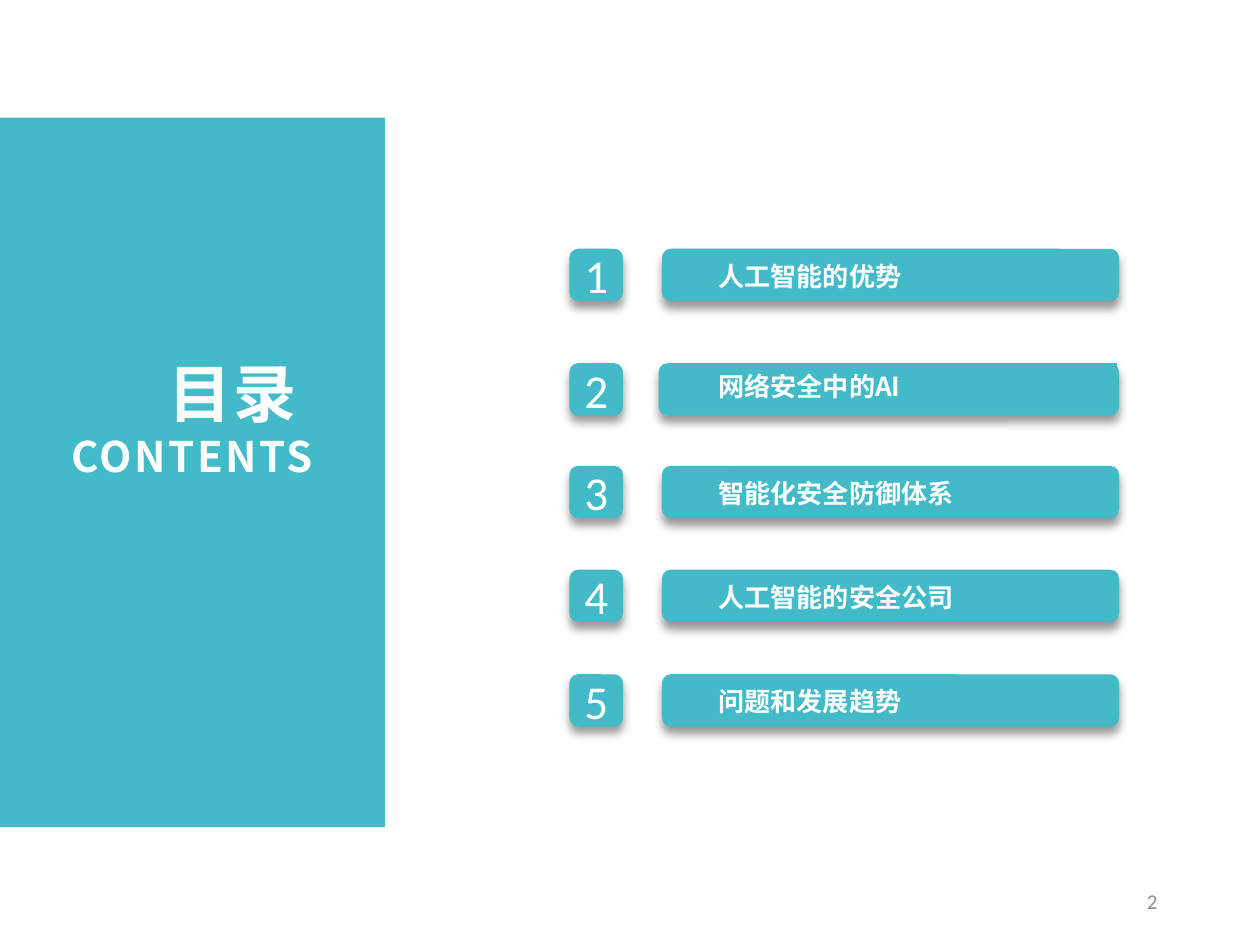
"""Build a contents slide with a title panel and five numbered topics."""
from dataclasses import dataclass

from lxml import etree
from pptx import Presentation
from pptx import util as u
from pptx.dml.color import RGBColor
from pptx.enum import shapes, text
from pptx.oxml.ns import qn

TEAL, WHITE, GREY = "42BAC8", "FFFFFF", "8C8C8C"
LATIN, CJK = "Calibri", "Noto Sans CJK SC"
BADGE_LEFT, BADGE_WIDTH, ROW_HEIGHT = 8.61, 0.81, 0.79
BAR_RIGHT, LABEL_LEFT, LABEL_HEIGHT = 16.92, 10.69, 0.66


@dataclass
class Topic:
    name: str
    top: float
    bar_left: float = 10.01
    label_drop: float = 0.07
    label_width: float = 5.05


TOPICS = [
    Topic("人工智能的优势", 3.76),
    Topic("网络安全中的AI", 5.49, 9.96, 0, 6.2),
    Topic("智能化安全防御体系", 7.04),
    Topic("人工智能的安全公司", 8.61),
    Topic("问题和发展趋势", 10.19),
]


def color(value: str) -> RGBColor:
    return RGBColor.from_string(value)


def place(part, left: float, top: float, width: float, height: float) -> None:
    part.left, part.top = u.Cm(left), u.Cm(top)
    part.width, part.height = u.Cm(width), u.Cm(height)


def add_block(parent, kind, left: float, top: float, width: float, height: float):
    block = parent.add_shape(kind, *map(u.Cm, (left, top, width, height)))
    block.shadow.inherit = False
    block.fill.solid()
    block.fill.fore_color.rgb = color(TEAL)
    block.line.fill.background()
    return block


def add_raised(parent, left: float, top: float, width: float):
    raised = add_block(parent, shapes.MSO_SHAPE.ROUNDED_RECTANGLE,
                       left, top, width, ROW_HEIGHT)
    effects = raised._element.spPr.find(qn("a:effectLst"))
    shadow = etree.SubElement(effects, qn("a:outerShdw"), blurRad=str(u.Pt(4)),
                              dist=str(u.Pt(3)), dir="5400000", rotWithShape="0")
    black = etree.SubElement(shadow, qn("a:srgbClr"), val="000000")
    etree.SubElement(black, qn("a:alpha"), val="40000")
    return raised


def set_frame(frame, anchor, side: float = 0.18, edge: float = 0.1) -> None:
    frame.word_wrap = True
    frame.auto_size = text.MSO_AUTO_SIZE.NONE
    frame.vertical_anchor = anchor
    frame.margin_left = frame.margin_right = u.Cm(side)
    frame.margin_top = frame.margin_bottom = u.Cm(edge)


def write(paragraph, words: str, size: float, face: str, align,
          bold: bool = False, ink: str = WHITE, spacing: int = 0) -> None:
    paragraph.text = words
    paragraph.alignment = align
    font = paragraph.font
    font.size, font.name, font.bold = u.Pt(size), face, bold
    font.color.rgb = color(ink)
    properties = paragraph._p.pPr.find(qn("a:defRPr"))
    etree.SubElement(properties, qn("a:ea"), typeface=face)
    if spacing:
        properties.set("spc", str(spacing))


def add_topic(slide, number: int, topic: Topic) -> None:
    badge = add_raised(slide.shapes, BADGE_LEFT, topic.top, BADGE_WIDTH)
    set_frame(badge.text_frame, text.MSO_ANCHOR.MIDDLE)
    write(badge.text_frame.paragraphs[0], str(number), 20.2, LATIN,
          text.PP_ALIGN.CENTER)

    entry = slide.shapes.add_group_shape().shapes
    add_raised(entry, topic.bar_left, topic.top, BAR_RIGHT - topic.bar_left)
    label = add_block(entry, shapes.MSO_SHAPE.RECTANGLE, LABEL_LEFT,
                      topic.top + topic.label_drop, topic.label_width, LABEL_HEIGHT)
    set_frame(label.text_frame, text.MSO_ANCHOR.TOP)
    write(label.text_frame.paragraphs[0], topic.name, 11.2, CJK,
          text.PP_ALIGN.LEFT, bold=True)


def add_heading(slide) -> None:
    panel = add_block(slide.shapes, shapes.MSO_SHAPE.RECTANGLE, 0, 1.78, 5.82, 10.72)
    heading = slide.shapes.title
    heading._element.addprevious(panel._element)
    place(heading, 0.53, 5.26, 4.39, 2.11)
    frame = heading.text_frame
    set_frame(frame, text.MSO_ANCHOR.TOP)
    write(frame.paragraphs[0], "目录 ", 27, CJK, text.PP_ALIGN.RIGHT,
          bold=True, spacing=110)
    write(frame.add_paragraph(), "CONTENTS", 18, CJK, text.PP_ALIGN.RIGHT,
          bold=True, spacing=110)


def add_page_number(slide) -> None:
    page = slide.shapes.add_textbox(*map(u.Cm, (13.46, 13.23, 4.29, 0.76)))
    set_frame(page.text_frame, text.MSO_ANCHOR.MIDDLE, 0.25, 0.13)
    write(page.text_frame.paragraphs[0], "2", 9, LATIN, text.PP_ALIGN.RIGHT, ink=GREY)


def main() -> None:
    deck = Presentation()
    deck.slide_width, deck.slide_height = u.Cm(19.05), u.Cm(14.28)
    slide = deck.slides.add_slide(deck.slide_layouts[5])
    add_heading(slide)
    for number, topic in enumerate(TOPICS, start=1):
        add_topic(slide, number, topic)
    add_page_number(slide)
    deck.save("out.pptx")


if __name__ == "__main__":
    main()
